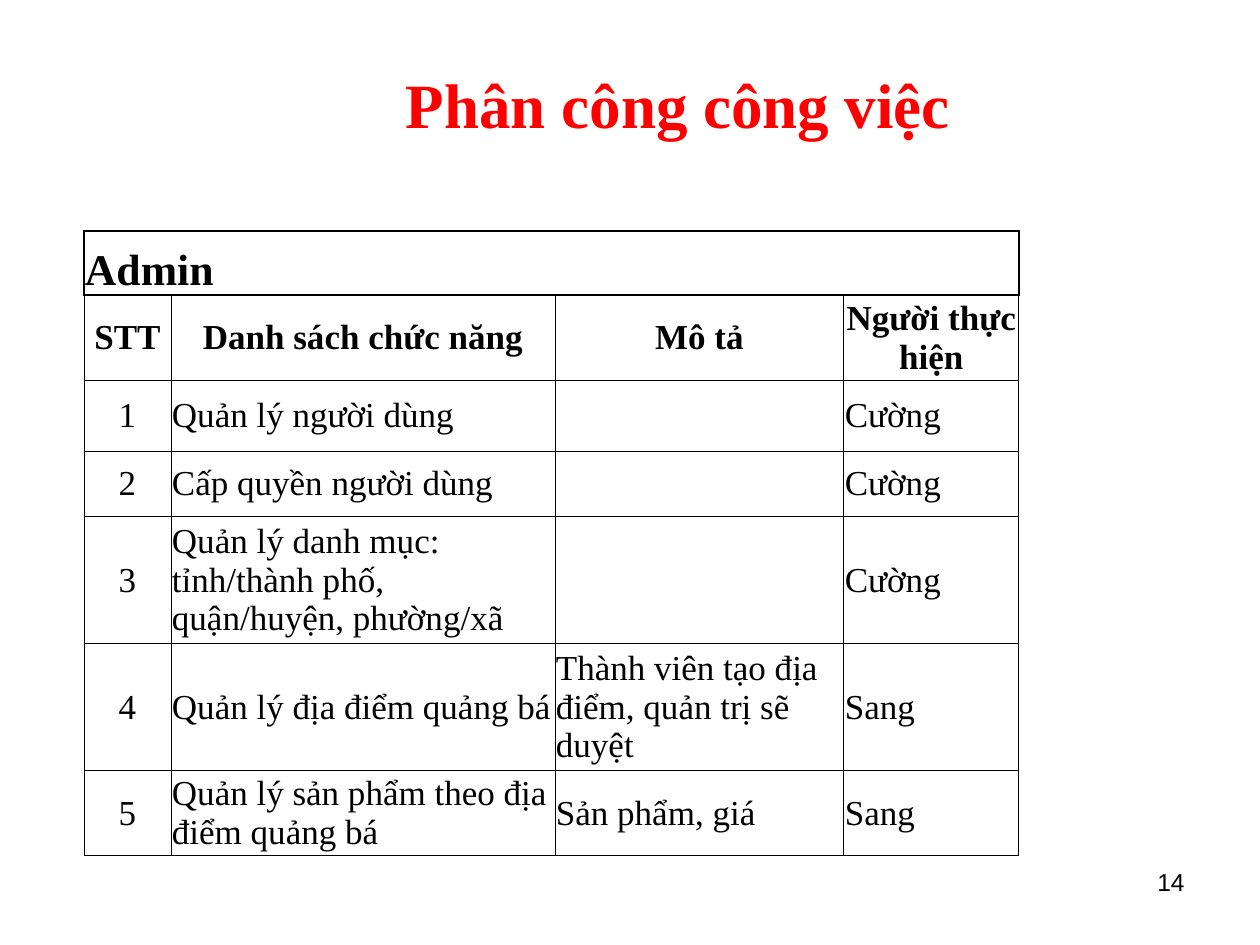
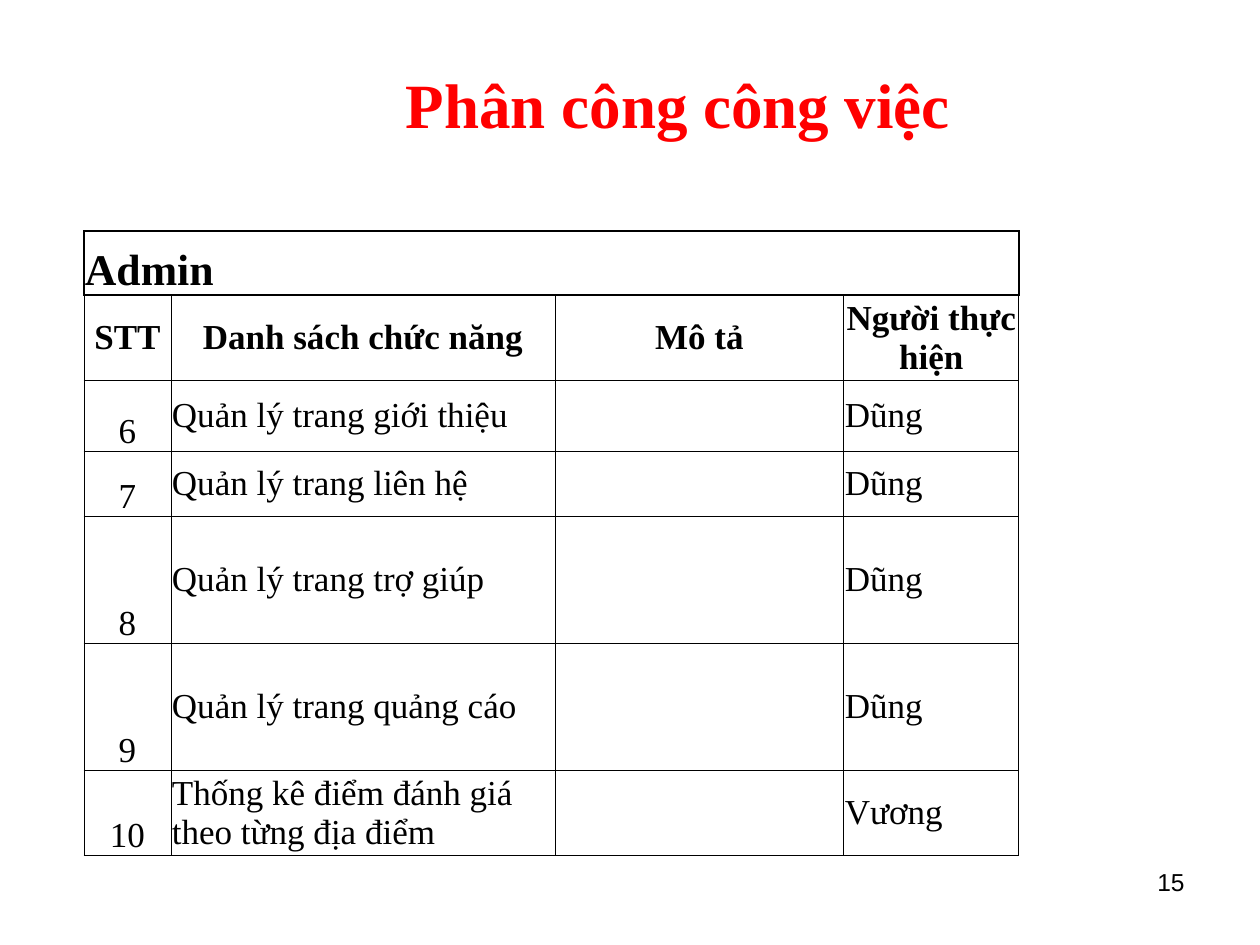
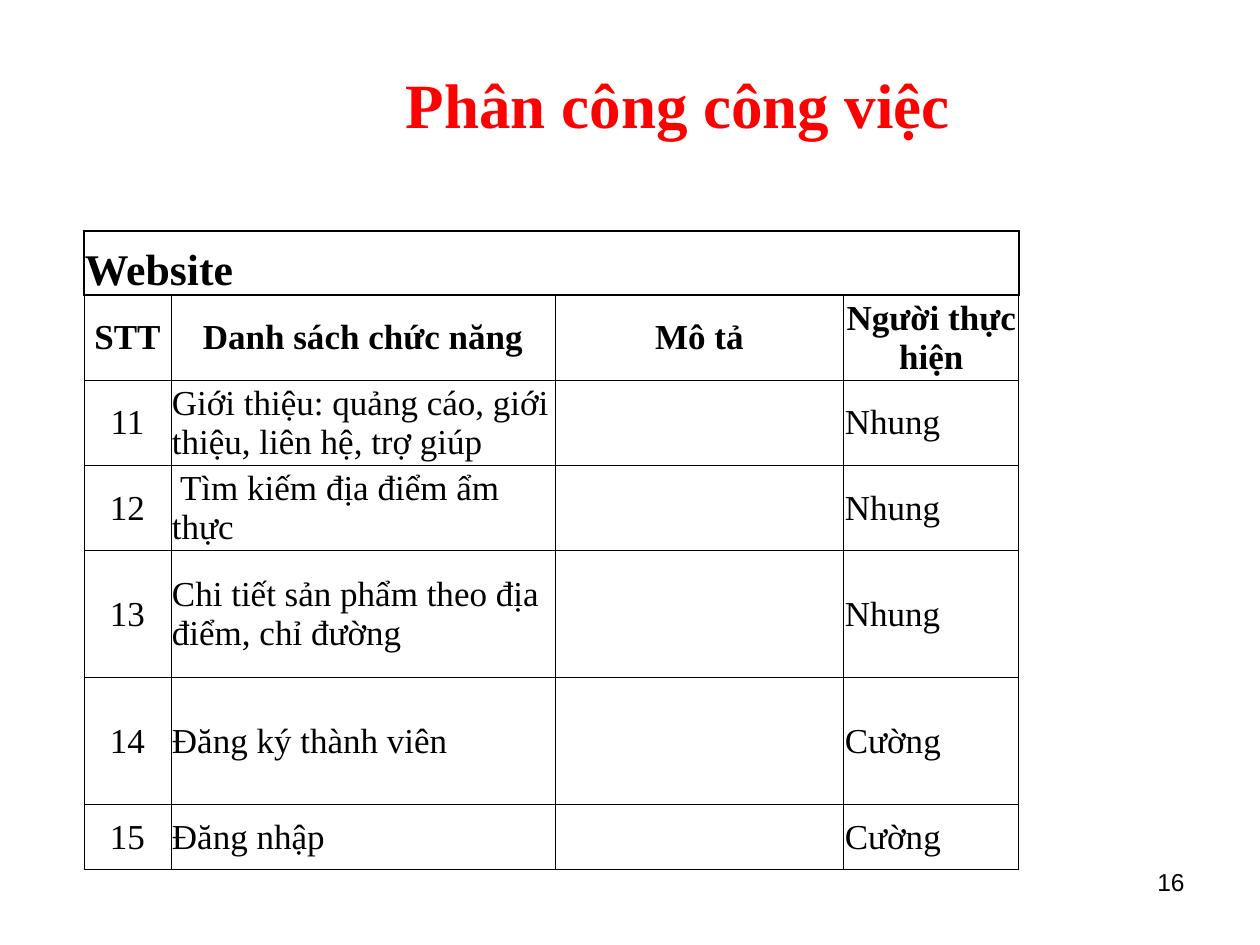
from lxml.etree import SubElement as Sub
from pptx import Presentation
from pptx.dml.color import RGBColor as Rgb
from pptx.enum.text import MSO_ANCHOR as Anchor, PP_ALIGN as Align
from pptx.oxml.ns import qn
from pptx.util import Pt

SCALE = 914400 / 126
COLORS = {"title": "FF0000", "text": "000000", "line": "000000"}
SERIF, SANS = "Times New Roman", "Arial"
COLS = (87, 384, 289, 175)
HEADS = ("STT", "Danh sách chức năng", "Mô tả", "Người thực hiện")
TALL = (64, 85, 71, 65, 127, 127, 85)

PAGES = [
    ("Admin", 1, TALL, Anchor.MIDDLE, [
        ("Quản lý người dùng", "", "Cường"),
        ("Cấp quyền người dùng", "", "Cường"),
        ("Quản lý danh mục: tỉnh/thành phố, quận/huyện, phường/xã", "", "Cường"),
        ("Quản lý địa điểm quảng bá", "Thành viên tạo địa điểm, quản trị sẽ duyệt", "Sang"),
        ("Quản lý sản phẩm theo địa điểm quảng bá", "Sản phẩm, giá", "Sang"),
    ]),
    ("Admin", 6, TALL, Anchor.BOTTOM, [
        ("Quản lý trang giới thiệu", "", "Dũng"),
        ("Quản lý trang liên hệ", "", "Dũng"),
        ("Quản lý trang trợ giúp", "", "Dũng"),
        ("Quản lý trang quảng cáo", "", "Dũng"),
        ("Thống kê điểm đánh giá theo từng địa điểm", "", "Vương"),
    ]),
    ("Website", 11, (64, 85, 85, 85, 127, 127, 65), Anchor.MIDDLE, [
        ("Giới thiệu: quảng cáo, giới thiệu, liên hệ, trợ giúp", "", "Nhung"),
        (" Tìm kiếm địa điểm ẩm thực", "", "Nhung"),
        ("Chi tiết sản phẩm theo địa điểm, chỉ đường", "", "Nhung"),
        ("Đăng ký thành viên", "", "Cường"),
        ("Đăng nhập", "", "Cường"),
    ]),
]


def px(n):
    """Turn pixels into EMU."""
    return round(n * SCALE)


class Deck:
    """Hold the deck's style and its current slide."""

    def __init__(self):
        """Start an empty deck."""
        self.prs = Presentation()
        self.prs.slide_width, self.prs.slide_height = px(1260), px(945)

    def page(self):
        """Add a blank slide."""
        self.slide = self.prs.slides.add_slide(self.prs.slide_layouts[6])

    def style(self, para, size, align, font=SERIF, color="text", bold=False):
        """Set the look of a paragraph."""
        para.alignment = align
        para.font.name, para.font.size, para.font.bold = font, Pt(size), bold
        para.font.color.rgb = Rgb.from_string(COLORS[color])

    def text(self, box, words, size, align, anchor=Anchor.TOP, **look):
        """Add a text box."""
        frame = self.slide.shapes.add_textbox(*map(px, box)).text_frame
        frame.word_wrap = True
        frame.vertical_anchor = anchor
        frame.text = words
        self.style(frame.paragraphs[0], size, align, **look)

    def border(self, cell, width, top):
        """Draw the four borders of a cell."""
        props = cell._tc.get_or_add_tcPr()
        for side, size in zip("LRTB", (width, width, top, width)):
            line = Sub(props, qn(f"a:ln{side}"), w=str(Pt(size)))
            fill = Sub(line, qn("a:solidFill"))
            Sub(fill, qn("a:srgbClr"), val=COLORS["line"])

    def cell(self, cell, words, size=20, align=Align.LEFT, anchor=Anchor.MIDDLE,
             bold=False, width=0.5, top=0.5):
        """Fill and style a table cell."""
        self.border(cell, width, top)
        cell.fill.background()
        cell.margin_left = cell.margin_right = cell.margin_top = px(1)
        cell.margin_bottom = 0
        cell.vertical_anchor = anchor
        cell.text = words
        self.style(cell.text_frame.paragraphs[0], size, align, bold=bold)

    def table(self, left, top, group, first, heights, anchor, tasks):
        """Add a table of tasks under a group heading."""
        box = map(px, (left, top, sum(COLS), sum(heights)))
        grid = self.slide.shapes.add_table(len(heights), len(COLS), *box).table
        grid.first_row = grid.horz_banding = False
        for col, width in zip(grid.columns, COLS):
            col.width = px(width)
        for row, height in zip(grid.rows, heights):
            row.height = px(height)
        grid.cell(0, 0).merge(grid.cell(0, len(COLS) - 1))
        for c, head in enumerate(HEADS):
            self.cell(grid.cell(0, c), "" if c else group, 25,
                      anchor=Anchor.BOTTOM, bold=True, width=1, top=1)
            self.cell(grid.cell(1, c), head, align=Align.CENTER, bold=True, top=1)
        for r, task in enumerate(tasks):
            self.cell(grid.cell(r + 2, 0), str(first + r), align=Align.CENTER,
                      anchor=anchor)
            for c, words in enumerate(task, 1):
                self.cell(grid.cell(r + 2, c), words)


def main():
    """Build and save the deck."""
    deck = Deck()
    for num, page in enumerate(PAGES, 14):
        deck.page()
        deck.text((158, 38, 1040, 130), "Phân công công việc", 36, Align.CENTER,
                  Anchor.MIDDLE, color="title", bold=True)
        deck.text((903, 861, 294, 66), str(num), 14, Align.RIGHT, font=SANS)
        deck.table(84, 231, *page)
    deck.prs.save("out.pptx")


if __name__ == "__main__":
    main()
